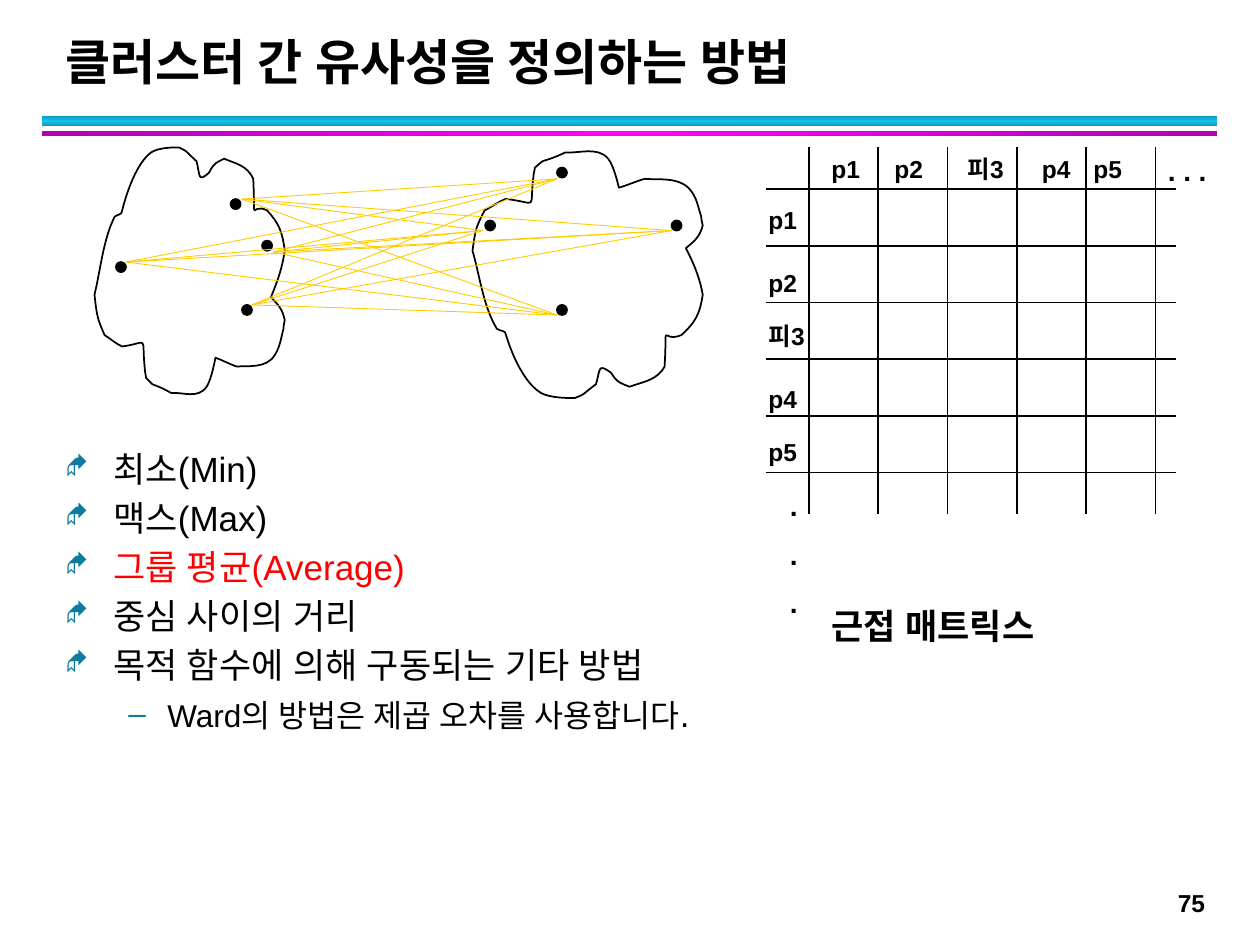
from copy import deepcopy
from itertools import product
from pptx import Presentation, util as u
from pptx.dml.color import RGBColor
from pptx.enum import shapes as sh, text as tx
from pptx.oxml import ns
from lxml import etree

BLOB = [
    (0.91, 1.72), (0.82, 1.9), (0.8, 2.13), (0.75, 2.34),
    (0.77, 2.51), (0.77, 2.52), (0.83, 2.66), (0.88, 2.69), (0.92, 2.73), (0.97, 2.75),
    (1.19, 2.72), (1.12, 2.65), (1.15, 2.93), (1.15, 2.96), (1.16, 2.98), (1.16, 3),
    (1.23, 3.07), (1.19, 3.04), (1.26, 3.07), (1.29, 3.08), (1.36, 3.12), (1.36, 3.12),
    (1.45, 3.11), (1.57, 3.17), (1.64, 3.07), (1.68, 3.01), (1.71, 2.84), (1.71, 2.84),
    (1.77, 2.86), (1.82, 2.89), (1.88, 2.91), (1.96, 2.9), (2.11, 2.93), (2.18, 2.82),
    (2.22, 2.76), (2.23, 2.69), (2.25, 2.61), (2.25, 2.59), (2.26, 2.54), (2.26, 2.54),
    (2.24, 2.45), (2.21, 2.42), (2.15, 2.36), (2.2, 2.24), (2.24, 2.13), (2.26, 1.99),
    (2.24, 1.83), (2.21, 1.77), (2.12, 1.67), (1.98, 1.6), (2.03, 1.82), (2.01, 1.42),
    (1.96, 1.31), (1.87, 1.3), (1.78, 1.26), (1.72, 1.29), (1.7, 1.29), (1.66, 1.37),
    (1.57, 1.45), (1.59, 1.4), (1.56, 1.28), (1.45, 1.18), (1.5, 1.21), (1.42, 1.17),
    (1.38, 1.17), (1.26, 1.17), (1.2, 1.21), (1.09, 1.29), (1.01, 1.51), (0.97, 1.67),
    (0.97, 1.71), (0.93, 1.7), (0.91, 1.72)]
DOTS = [(1.92, 2.42), (1.83, 1.58), (0.92, 2.08), (2.08, 1.91),
        (5.33, 1.75), (3.85, 1.75), (4.42, 2.42), (4.42, 1.33)]
LEFT = [(2, 2.42), (2.17, 2), (1, 2.08), (1.92, 1.58)]
RIGHT = [(4.42, 2.5), (3.83, 1.83), (4.42, 1.42), (5.33, 1.83)]
NAMES = ["p1", "p2", "피3", "p4", "p5"]
ITEMS = ["최소(Min)", "맥스(Max)", "그룹 평균(Average)", "중심 사이의 거리",
         "목적 함수에 의해 구동되는 기타 방법"]


def hue(code):
    """Turn a hex string into a colour."""
    return RGBColor.from_string(code)


def run(para, words, size=14, font="Arial", color="000000", bold=False):
    """Add a formatted run to a paragraph."""
    part = para.add_run()
    part.text = words
    face = part.font
    face.size, face.name, face.bold = u.Pt(size), font, bold
    face.color.rgb = hue(color)
    latin = part._r.rPr.find(ns.qn("a:latin"))
    latin.addnext(etree.Element(ns.qn("a:ea"), typeface="Noto Sans"))


def frame(slide, x, y, w, h, wrap=True):
    """Add an empty text box and return its text frame."""
    body = slide.shapes.add_textbox(*map(u.Inches, (x, y, w, h))).text_frame
    body.word_wrap = wrap
    return body


def label(slide, words, x, y, w=0.58, h=0.33, wrap=True, gap=0, **form):
    """Add bold text, one paragraph for each line."""
    body = frame(slide, x, y, w, h, wrap)
    for i, row in enumerate(words.split("\n")):
        para = body.add_paragraph() if i else body.paragraphs[0]
        if i:
            para.space_before = u.Pt(gap)
        run(para, row, bold=True, **form)
    return body


def line(slide, start, end, color="000000", width=1):
    """Draw a straight line without a shadow."""
    item = slide.shapes.add_connector(
        sh.MSO_CONNECTOR.STRAIGHT, *map(u.Inches, (*start, *end)))
    item.line.color.rgb = hue(color)
    item.line.width = u.Pt(width)
    etree.SubElement(item._element.spPr, ns.qn("a:effectLst"))


def bar(slide, y, h, edge, mid, angle):
    """Draw a title bar that shades from edge to middle to edge."""
    item = slide.shapes.add_shape(
        sh.MSO_SHAPE.RECTANGLE, *map(u.Inches, (0.33, y, 9.33, h)))
    item.shadow.inherit = False
    item.line.fill.background()
    item.fill.gradient()
    item.fill.gradient_angle = angle
    first = item._element.spPr.find(".//" + ns.qn("a:gs"))
    first.addnext(deepcopy(first))
    for stop, color, place in zip(item.fill.gradient_stops, (edge, mid, edge), (0, 0.5, 1)):
        stop.color.rgb = hue(color)
        stop.position = place


def dot(slide, x, y):
    """Draw a data point."""
    item = slide.shapes.add_shape(
        sh.MSO_SHAPE.OVAL, *map(u.Inches, (x, y, 0.08, 0.08)))
    item.shadow.inherit = False
    item.fill.solid()
    item.fill.fore_color.rgb = hue("000000")
    item.line.color.rgb = hue("000000")
    item.line.width = u.Pt(1)


def bend(item):
    """Turn each three straight segments of an outline into one Bezier curve."""
    legs = list(item._element.iter(ns.qn("a:lnTo")))
    for i in range(0, len(legs), 3):
        arc = etree.Element(ns.qn("a:cubicBezTo"))
        legs[i].addprevious(arc)
        for leg in legs[i:i + 3]:
            arc.append(leg[0])
            leg.getparent().remove(leg)


def cloud(slide, knots):
    """Draw a cluster outline."""
    points = [(u.Inches(x), u.Inches(y)) for x, y in knots]
    pen = slide.shapes.build_freeform(*points[0])
    pen.add_line_segments(points[1:], close=True)
    item = pen.convert_to_shape()
    bend(item)
    item.shadow.inherit = False
    item.fill.background()
    item.line.color.rgb = hue("000000")
    item.line.width = u.Pt(1)


def bullet(para, mark, left, hang, font, size=100):
    """Give a paragraph a bullet, a hanging indent and spacing."""
    para.space_before = para.space_after = u.Pt(2)
    props = para._p.get_or_add_pPr()
    props.set("marL", str(u.Inches(left)))
    props.set("indent", str(-u.Inches(hang)))
    tint = etree.SubElement(props, ns.qn("a:buClr"))
    etree.SubElement(tint, ns.qn("a:srgbClr"), val="0C7B9C")
    etree.SubElement(props, ns.qn("a:buSzPct"), val=str(size * 1000))
    etree.SubElement(props, ns.qn("a:buFont"), typeface=font)
    etree.SubElement(props, ns.qn("a:buChar"), char=mark)


def matrix(slide):
    """Draw the proximity matrix with its labels."""
    for i in range(6):
        x, y = 6.42 + 0.55 * i, 1.5 + 0.45 * i
        line(slide, (x, 1.17), (x, 4.08))
        line(slide, (6.08, y), (9.33, y))
    for name, x, y in zip(NAMES, (6.5, 7, 7.58, 8.17, 8.58), (1.58, 2.08, 2.5, 3, 3.42)):
        label(slide, name, x, 1.17)
        label(slide, name, 6, y)
    label(slide, ". . .", 9.17, 1.17, h=0.37, size=16)
    label(slide, ".\n.\n.", 6.17, 3.83, h=1.17, size=16, gap=8.5)
    label(slide, "근접 매트릭스", 6.5, 4.75, 2.75, 0.43, size=20)


def clusters(slide):
    """Draw both clusters and the links between their points."""
    cloud(slide, BLOB)
    cloud(slide, [(3.75 + (x - 0.75) * 1.21, 4.33 - y) for x, y in BLOB])
    for spot in DOTS:
        dot(slide, *spot)
    for start, end in product(LEFT, RIGHT):
        line(slide, start, end, "FFCC00", 0.5)


def methods(slide):
    """Write the bulleted list of methods."""
    body = frame(slide, 0.42, 3.5, 6.33, 3.42)
    for i, words in enumerate(ITEMS):
        para = body.add_paragraph() if i else body.paragraphs[0]
        bullet(para, "◆", 0.38, 0.38, "Wingdings", 75)
        run(para, words, 20, color="FF0000" if "Average" in words else "000000")
    para = body.add_paragraph()
    para.level = 1
    bullet(para, "–", 0.81, 0.31, "Arial")
    run(para, "Ward의 방법은 제곱 오차를 사용합니다", 18)
    run(para, ".", 20)


def main():
    """Build and save the slide."""
    deck = Presentation()
    deck.slide_width, deck.slide_height = u.Inches(10), u.Inches(7.5)
    slide = deck.slides.add_slide(deck.slide_layouts[6])
    bar(slide, 0.92, 0.08, "0E9BBA", "12C2E9", 90)
    bar(slide, 1.04, 0.04, "B200B2", "FF00FF", 0)
    label(slide, "75", 9.25, 7, 0.44, 0.34, wrap=False)
    title = label(slide, "클러스터 간 유사성을 정의하는 방법", 0.42, 0.17, 9.06, 0.6,
                  size=28, font="Noto Sans")
    title.vertical_anchor = tx.MSO_ANCHOR.BOTTOM
    title.paragraphs[0].line_spacing = u.Pt(36)
    matrix(slide)
    clusters(slide)
    methods(slide)
    deck.save("out.pptx")


if __name__ == "__main__":
    main()
